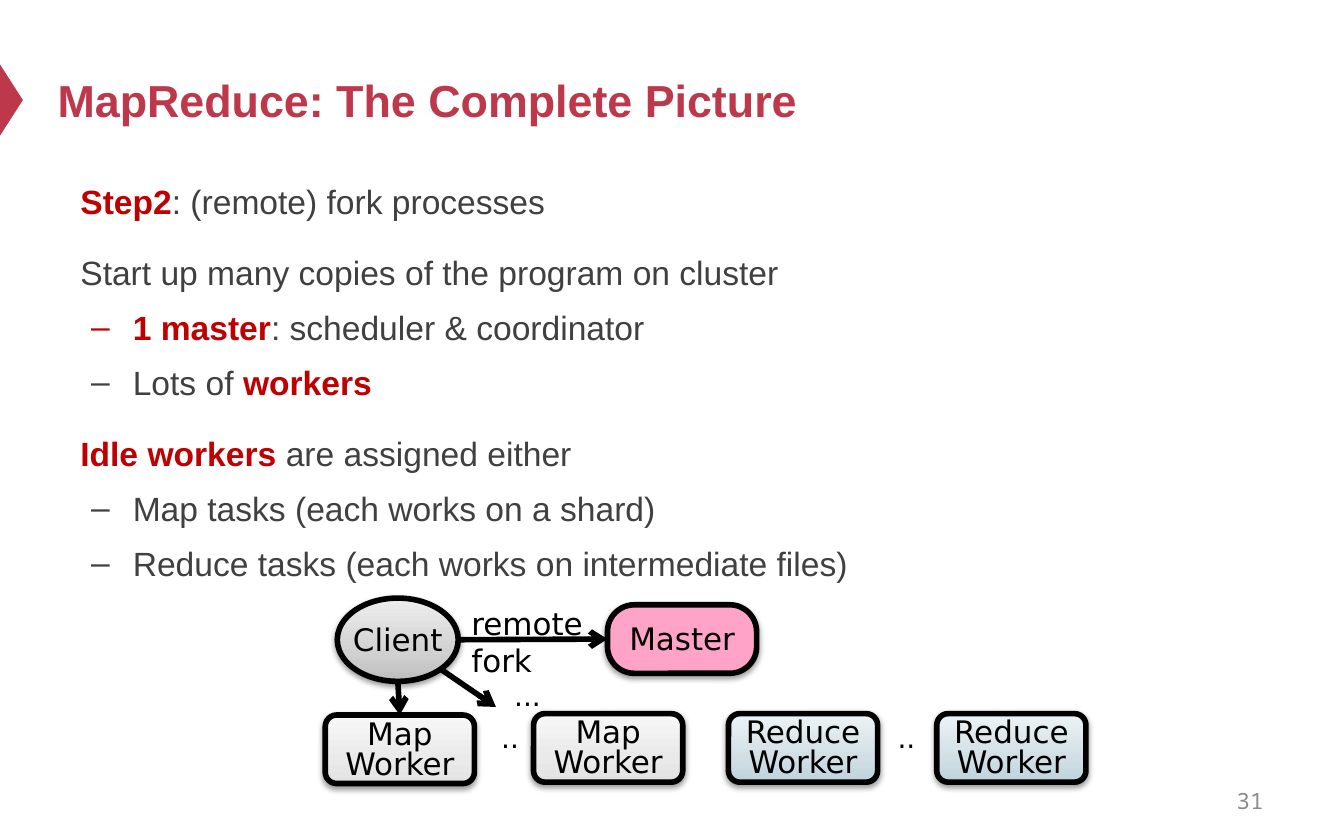
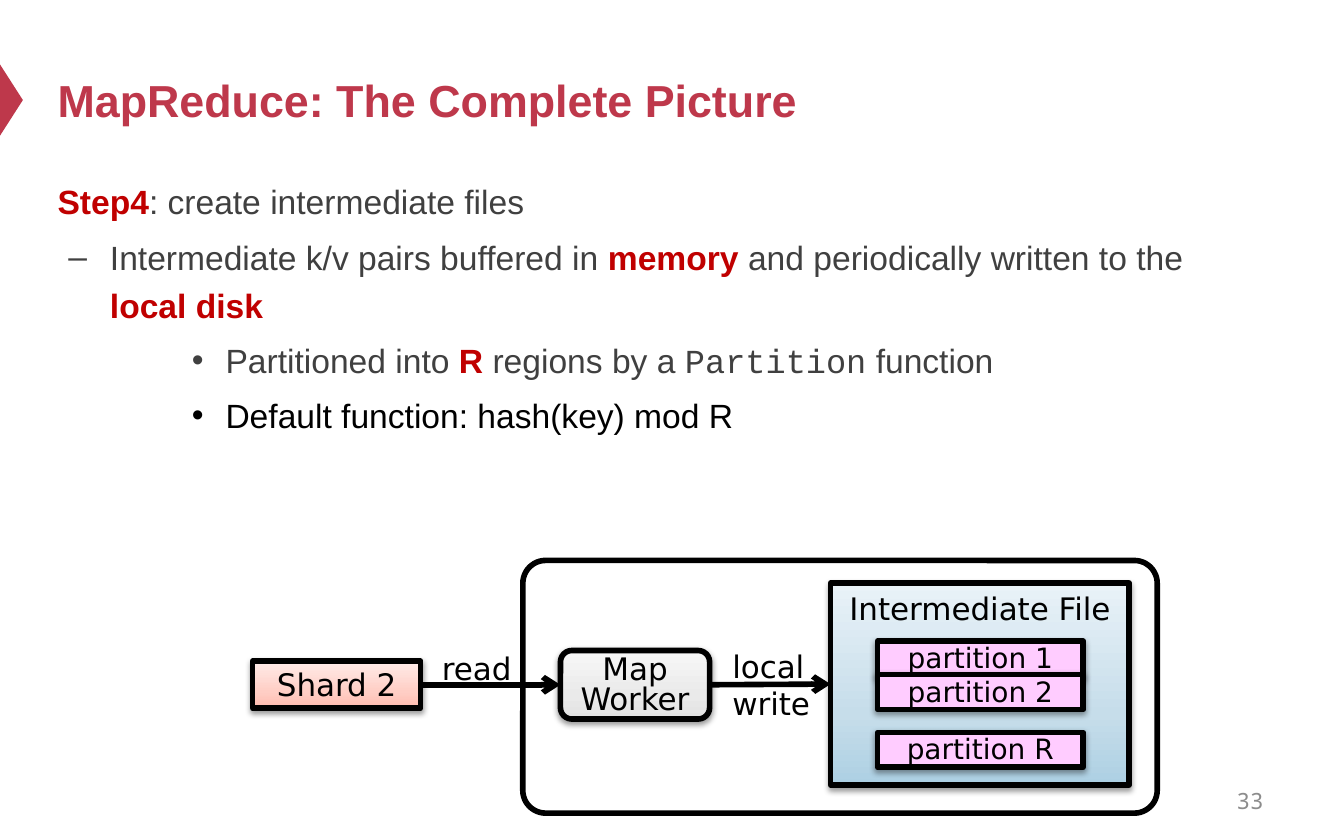
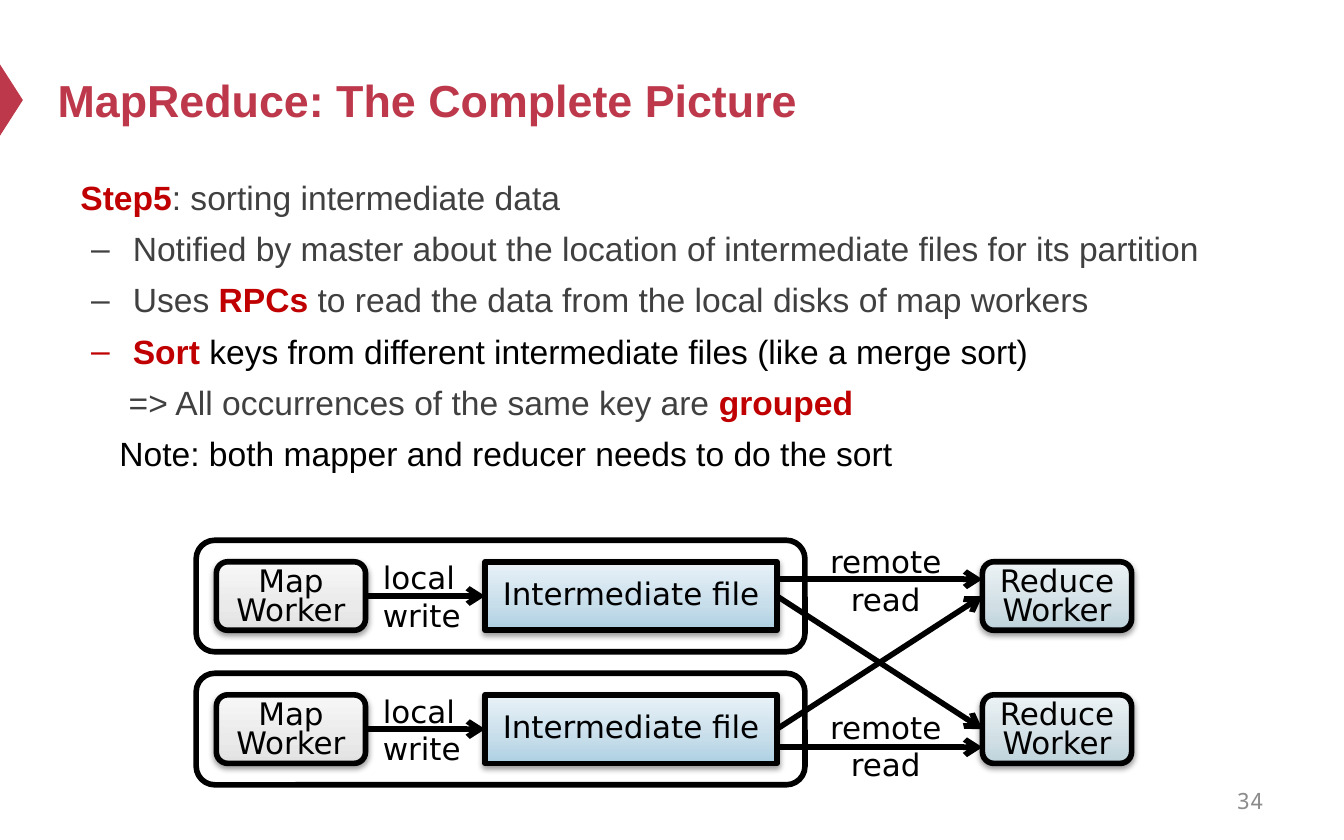
import copy

import lxml.etree
import pptx
import pptx.dml.color
import pptx.enum.shapes
import pptx.enum.text
import pptx.oxml.ns
import pptx.util


def gradient(*colors):
    return tuple(zip((0, 0.35, 1), map(pptx.dml.color.RGBColor.from_string, colors)))


CRIMSON = pptx.dml.color.RGBColor(0xBE, 0x38, 0x4B)
RED = pptx.dml.color.RGBColor(0xC0, 0x00, 0x00)
DARK = pptx.dml.color.RGBColor(0x40, 0x40, 0x40)
GREY = pptx.dml.color.RGBColor(0x8C, 0x8C, 0x8C)
BLACK = pptx.dml.color.RGBColor(0x00, 0x00, 0x00)
PINK = pptx.dml.color.RGBColor(0xFF, 0xA3, 0xC8)
LILAC = pptx.dml.color.RGBColor(0xFF, 0xCC, 0xFF)
MAP_GRADIENT = gradient("E2E2E2", "EAEAEA", "F7F7F7")
REDUCE_GRADIENT = gradient("BDD3DB", "D1DFE5", "EDF3F5")
CLIENT_GRADIENT = gradient("BDBDBD", "D1D1D1", "EEEEEE")
SHARD_GRADIENT = gradient("FFBBAE", "FFCEC5", "FFECE9")
FILE_GRADIENT = gradient("ADD0E3", "C6DDEA", "E9F2F8")

SHAPES = pptx.enum.shapes.MSO_SHAPE
ALIGN = pptx.enum.text.PP_ALIGN
ANCHOR = pptx.enum.text.MSO_ANCHOR
TOP, LEFT, RIGHT = 0, 1, 3
WORKER_WIDTH, WORKER_HEIGHT = 1.11, 0.51
LEVELS = {
    "text": (0, 0, 0, None, 12),
    "dash": (1, 0.39, -0.31, "–", 3.6),
    "dot": (2, 1.25, -0.25, "•", 3.6),
    "result": (1, 0.36, 0, None, 3.6),
    "note": (1, 0.29, 0, None, 3.6),
}


def inches(*lengths):
    return [pptx.util.Inches(length) for length in lengths]


def add_element(parent, tag, **attributes):
    return lxml.etree.SubElement(parent, pptx.oxml.ns.qn(tag), attributes)


def set_font(font, name, size, color, bold=False):
    font.name = name
    font.size = pptx.util.Pt(size)
    font.color.rgb = color
    font.bold = bold


class Deck:
    def __init__(self):
        self.presentation = pptx.Presentation()
        self.presentation.slide_width, self.presentation.slide_height = inches(10, 6.25)
        self.slide = None

    def add_slide(self, title, number):
        self.slide = self.presentation.slides.add_slide(self.presentation.slide_layouts[6])
        marker = self.slide.shapes.add_shape(SHAPES.ISOSCELES_TRIANGLE, *inches(-0.18, 0.66, 0.53, 0.17))
        marker.rotation = 90
        marker.shadow.inherit = False
        marker.fill.solid()
        marker.fill.fore_color.rgb = CRIMSON
        marker.line.fill.background()
        self.text(0.33, 0.25, 9, 0.98, title, "Arial", 24, CRIMSON, bold=True, anchor=ANCHOR.MIDDLE)
        self.text(7.17, 5.79, 2.33, 0.33, str(number), "Noto Sans Mono", 12, GREY,
                  align=ALIGN.RIGHT, anchor=ANCHOR.MIDDLE)

    def text(self, left, top, width, height, words, name, size, color, bold=False,
             align=ALIGN.LEFT, anchor=ANCHOR.TOP, wrap=True):
        box = self.slide.shapes.add_textbox(*inches(left, top, width, height))
        box.text_frame.word_wrap = wrap
        box.text_frame.vertical_anchor = anchor
        paragraph = box.text_frame.paragraphs[0]
        paragraph.text = words
        paragraph.alignment = align
        set_font(paragraph.font, name, size, color, bold)

    def label(self, left, top, width, height, words, size=16.6, align=ALIGN.LEFT):
        self.text(left, top, width, height, words, "DejaVu Sans", size, BLACK, align=align, wrap=False)

    def body(self, left, height, items, line_spacing=1.2):
        """Text between asterisks is emphasised; text between backticks is code."""
        box = self.slide.shapes.add_textbox(*inches(left, 1.24, 9, height))
        frame = box.text_frame
        frame.word_wrap = True
        for index, (kind, words, color) in enumerate(items):
            level, margin, indent, bullet, space_before = LEVELS[kind]
            paragraph = frame.add_paragraph() if index else frame.paragraphs[0]
            paragraph.level = level
            paragraph.line_spacing = line_spacing
            paragraph.space_before = pptx.util.Pt(space_before if index else 0)
            properties = paragraph._p.get_or_add_pPr()
            properties.set("marL", str(pptx.util.Inches(margin)))
            properties.set("indent", str(pptx.util.Inches(indent)))
            if bullet:
                add_element(properties, "a:buFont", typeface="Arial")
                add_element(properties, "a:buChar", char=bullet)
            else:
                add_element(properties, "a:buNone")
            set_font(paragraph.font, "Arial", 18, color)
            for strong, part in enumerate(words.split("*")):
                for code, piece in enumerate(part.split("`")):
                    if not piece:
                        continue
                    run = paragraph.add_run()
                    run.text = piece
                    if strong % 2:
                        run.font.bold = True
                        run.font.color.rgb = RED
                    if code % 2:
                        run.font.name = "Courier New"

    def outline(self, kind, left, top, width, height, corner=None):
        shape = self.slide.shapes.add_shape(kind, *inches(left, top, width, height))
        shape.shadow.inherit = False
        shape.fill.background()
        shape.line.color.rgb = BLACK
        shape.line.width = pptx.util.Pt(3)
        if corner is not None:
            shape.adjustments[0] = corner
        return shape

    def node(self, kind, left, top, width, height, words, fill, size=16.6, corner=None,
             spacing=1, anchor=ANCHOR.MIDDLE, margins=(0.08, 0.03, 0.08, 0.04)):
        shape = self.outline(kind, left, top, width, height, corner)
        self.paint(shape, fill)
        self.cast_shadow(shape)
        frame = shape.text_frame
        frame.word_wrap = False
        frame.vertical_anchor = anchor
        frame.margin_left, frame.margin_top, frame.margin_right, frame.margin_bottom = inches(*margins)
        paragraph = frame.paragraphs[0]
        paragraph.text = words
        paragraph.alignment = ALIGN.CENTER
        paragraph.line_spacing = spacing
        set_font(paragraph.font, "DejaVu Sans", size, BLACK)
        return shape

    def paint(self, shape, fill):
        if isinstance(fill, pptx.dml.color.RGBColor):
            shape.fill.solid()
            shape.fill.fore_color.rgb = fill
            return
        shape.fill.gradient()
        shape.fill.gradient_angle = 90
        stops = shape._element.spPr.find(".//" + pptx.oxml.ns.qn("a:gsLst"))
        stops.insert(1, copy.deepcopy(stops[0]))
        for stop, (position, color) in zip(shape.fill.gradient_stops, fill):
            stop.position = position
            stop.color.rgb = color

    def cast_shadow(self, shape):
        effects = shape._element.spPr.find(pptx.oxml.ns.qn("a:effectLst"))
        shadow = add_element(effects, "a:outerShdw", blurRad=str(pptx.util.Pt(3.1)),
                             dist=str(pptx.util.Pt(1.6)), dir="5400000", rotWithShape="0")
        color = add_element(shadow, "a:srgbClr", val=str(BLACK))
        add_element(color, "a:alpha", val="38000")

    def worker(self, role, left, top):
        fill = MAP_GRADIENT if role == "Map" else REDUCE_GRADIENT
        return self.node(SHAPES.ROUNDED_RECTANGLE, left, top, WORKER_WIDTH, WORKER_HEIGHT,
                         f"{role}\nWorker", fill, spacing=0.8, margins=(0.08, 0.03, 0.08, 0))

    def arrow(self, start, end):
        """Each end is a point in inches or a shape with its connection site."""
        points = [(0, 0) if hasattr(place[0], "shape_id") else place for place in (start, end)]
        connector = self.slide.shapes.add_connector(
            pptx.enum.shapes.MSO_CONNECTOR.STRAIGHT, *inches(*points[0], *points[1]))
        if hasattr(start[0], "shape_id"):
            connector.begin_connect(*start)
        if hasattr(end[0], "shape_id"):
            connector.end_connect(*end)
        connector.line.color.rgb = BLACK
        connector.line.width = pptx.util.Pt(3)
        properties = connector._element.spPr
        add_element(properties.find(pptx.oxml.ns.qn("a:ln")), "a:tailEnd", type="arrow")
        add_element(properties, "a:effectLst")


def add_fork_slide(deck, title):
    deck.add_slide(title, 31)
    deck.body(0.5, 3.34, [
        ("text", "*Step2*: (remote) fork processes", DARK),
        ("text", "Start up many copies of the program on cluster", DARK),
        ("dash", "*1 master*: scheduler & coordinator", DARK),
        ("dash", "Lots of *workers*", DARK),
        ("text", "*Idle workers* are assigned either", DARK),
        ("dash", "Map tasks (each works on a shard)", DARK),
        ("dash", "Reduce tasks (each works on intermediate files)", DARK),
    ])
    first_worker = deck.worker("Map", 2.42, 5.32)
    for role, left in (("Map", 3.97), ("Reduce", 5.42), ("Reduce", 6.97)):
        deck.worker(role, left, 5.31)
    deck.node(SHAPES.OVAL, 2.51, 4.45, 0.9, 0.62, "Client", CLIENT_GRADIENT)
    master = deck.node(SHAPES.ROUNDED_RECTANGLE, 4.52, 4.5, WORKER_WIDTH, WORKER_HEIGHT,
                       "Master", PINK, corner=0.39)
    deck.arrow((3.41, 4.76), (master, LEFT))
    deck.arrow((2.96, 5.07), (first_worker, TOP))
    deck.arrow((3.28, 4.98), (3.69, 5.26))
    deck.label(3.41, 4.45, 1.03, 0.66, "remote\nfork")
    for left, top, width, dots in ((3.55, 5, 0.75, "..."), (3.42, 5.31, 0.75, ".."), (6.53, 5.31, 0.43, "..")):
        deck.label(left, top, width, 0.35, dots, size=15, align=ALIGN.CENTER)


def add_intermediate_slide(deck, title):
    deck.add_slide(title, 33)
    deck.body(0.33, 4.12, [
        ("text", "*Step4*: create intermediate files", DARK),
        ("dash", "Intermediate k/v pairs buffered in *memory* and periodically written to the *local disk*", DARK),
        ("dot", "Partitioned into *R* regions by a `Partition` function", DARK),
        ("dot", "Default function: hash(key) mod R", BLACK),
    ])
    worker = deck.worker("Map", 4.17, 4.84)
    shard = deck.node(SHAPES.RECTANGLE, 1.88, 4.92, 1.25, 0.35, "Shard 2", SHARD_GRADIENT)
    file = deck.node(SHAPES.RECTANGLE, 6.18, 4.34, 2.22, 1.5, "Intermediate File", FILE_GRADIENT,
                     anchor=ANCHOR.TOP, margins=(0.1, 0.05, 0.1, 0.05))
    deck.arrow((shard, RIGHT), (worker, LEFT))
    deck.arrow((worker, RIGHT), (file, LEFT))
    for name, top in (("1", 4.77), ("2", 5.02), ("R", 5.45)):
        deck.node(SHAPES.RECTANGLE, 6.53, top, 1.53, 0.26, f"partition {name}", LILAC, size=15,
                  margins=(0.1, 0.03, 0.1, 0.05))
    deck.outline(SHAPES.ROUNDED_RECTANGLE, 3.89, 4.17, 4.72, 1.88, corner=0.09)
    deck.label(3.19, 4.78, 0.73, 0.38, "read")
    deck.label(5.35, 4.77, 0.79, 0.66, "local\nwrite")


def add_sorting_slide(deck, title):
    deck.add_slide(title, 34)
    deck.body(0.5, 2.47, [
        ("text", "*Step5*: sorting intermediate data", DARK),
        ("dash", "Notified by master about the location of intermediate files for its partition", DARK),
        ("dash", "Uses *RPCs* to read the data from the local disks of map workers", DARK),
        ("dash", "*Sort* keys from different intermediate files (like a merge sort)", BLACK),
        ("result", "=> All occurrences of the same key are *grouped*", DARK),
        ("note", "Note: both mapper and reducer needs to do the sort", BLACK),
    ], line_spacing=1.1)
    files, reducers = [], []
    for top in (4.18, 5.17):
        mapper = deck.worker("Map", 1.61, top)
        file = deck.node(SHAPES.RECTANGLE, 3.61, top, 2.17, WORKER_HEIGHT, "Intermediate file", FILE_GRADIENT,
                         spacing=0.8, margins=(0.1, 0.05, 0.1, 0.05))
        deck.outline(SHAPES.ROUNDED_RECTANGLE, 1.46, top - 0.16, 4.53, 0.83)
        deck.arrow((mapper, RIGHT), (file, LEFT))
        deck.label(2.75, top - 0.07, 0.79, 0.66, "local\nwrite")
        files.append(file)
        reducers.append(deck.worker("Reduce", 7.31, top))
    for file, reducer in zip(files, reversed(reducers)):
        deck.arrow((file, RIGHT), (reducer, LEFT))
    for line_top, label_top in ((4.31, 3.99), (5.56, 5.22)):
        deck.arrow((5.78, line_top), (7.31, line_top))
        deck.label(6.07, label_top, 1.04, 0.66, "remote\nread", align=ALIGN.CENTER)


def main():
    deck = Deck()
    for add_content in (add_fork_slide, add_intermediate_slide, add_sorting_slide):
        add_content(deck, "MapReduce: The Complete Picture")
    deck.presentation.save("out.pptx")


if __name__ == "__main__":
    main()
